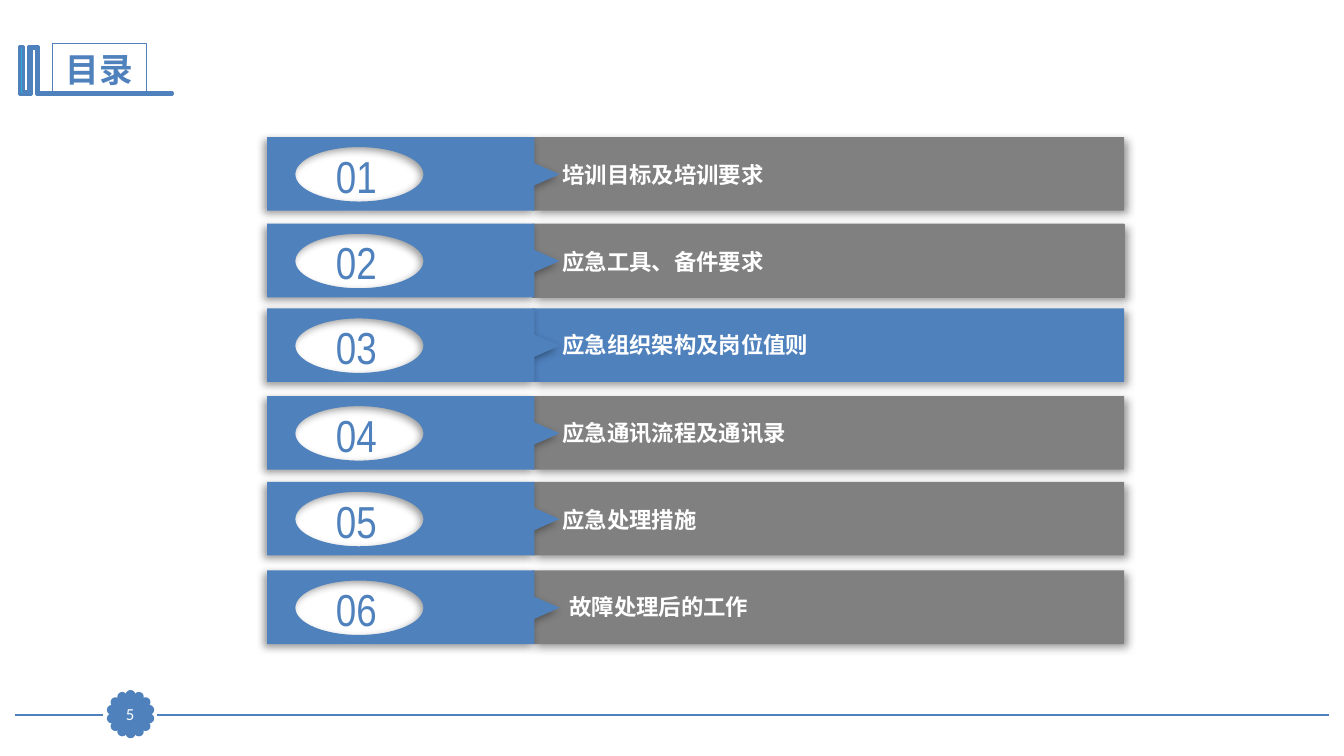
"""Build the contents slide: six numbered bars, a title mark and a page badge."""
from math import cos, pi, sin

from lxml.etree import SubElement, fromstring
from pptx import Presentation
from pptx.dml.color import RGBColor
from pptx.enum.shapes import MSO_CONNECTOR as Link, MSO_SHAPE as Kind
from pptx.enum.text import MSO_ANCHOR as Anchor, MSO_AUTO_SIZE as Fit, PP_ALIGN as Align
from pptx.oxml.ns import nsdecls, qn
from pptx.util import Inches, Pt

BLUE = RGBColor(0x4F, 0x81, 0xBD)
CYAN = RGBColor(0x28, 0xA9, 0xD6)
GREY = RGBColor(0x80, 0x80, 0x80)
WHITE = RGBColor(0xFF, 0xFF, 0xFF)
CELL = Inches(0.01)
COLS, ROWS = 1333, 750


def paint(shape, fill=None, line=None, width=0.75, shade=None):
    """Set fill, outline and shadow; shade is the shadow's angle in degrees."""
    shape.shadow.inherit = False
    if fill is None:
        shape.fill.background()
    else:
        shape.fill.solid()
        shape.fill.fore_color.rgb = fill
    if line is None:
        shape.line.fill.background()
    else:
        shape.line.color.rgb = line
        shape.line.width = Pt(width)
    if shade is not None:
        shape._element.spPr.find(qn("a:effectLst")).append(fromstring(
            f'<a:outerShdw {nsdecls("a")} blurRad="{Pt(6)}" dist="{Pt(3)}" '
            f'dir="{shade * 60000}" algn="ctr" rotWithShape="0"><a:srgbClr val="000000">'
            '<a:alpha val="40000"/></a:srgbClr></a:outerShdw>'))


def write(shape, text, size=16, font="Calibri", color=WHITE, bold=False,
          align=Align.CENTER, anchor=Anchor.MIDDLE, fit=Fit.SHAPE_TO_FIT_TEXT, inset=None):
    """Put one formatted line of text into a shape."""
    frame = shape.text_frame
    frame.word_wrap = True
    frame.auto_size = fit
    frame.vertical_anchor = anchor
    if inset is not None:
        frame.margin_left = frame.margin_right = inset
        frame.margin_top = frame.margin_bottom = inset
    para = frame.paragraphs[0]
    para.alignment = align
    run = para.add_run()
    run.text = text
    run.font.size = Pt(size)
    run.font.name = font
    run.font.bold = bold
    run.font.color.rgb = color


deck = Presentation()
deck.slide_width, deck.slide_height = COLS * CELL, ROWS * CELL
slide = deck.slides.add_slide(deck.slide_layouts[6])
shapes = slide.shapes

for start, end in [(1318, 156), (102, 15)]:
    rule = shapes.add_connector(Link.STRAIGHT, start * CELL, 709 * CELL, end * CELL, 709 * CELL)
    rule.line.color.rgb = BLUE
    rule.line.width = Pt(1.25)
    rule._element.spPr.append(fromstring(f'<a:effectLst {nsdecls("a")}/>'))

PETALS, REACH, DOT = 14, 19, 7
for petal in range(PETALS):
    turn = 2 * pi * petal / PETALS
    left = 129.5 + REACH * sin(turn) - DOT / 2
    top = 708.5 - REACH * cos(turn) - DOT / 2
    dot = shapes.add_shape(Kind.OVAL, round(left * CELL), round(top * CELL), DOT * CELL, DOT * CELL)
    paint(dot, BLUE, BLUE, 2)

pen = shapes.build_freeform(37, 46, scale=CELL)
pen.add_line_segments([(38, 46), (38, 92), (171, 92), (171, 94), (36, 94), (36, 48), (31, 48),
                       (31, 94), (19, 94), (19, 46), (23, 46), (23, 91), (28, 91), (28, 46)])
paint(pen.convert_to_shape(), CYAN, BLUE, 2)

title = shapes.add_shape(Kind.RECTANGLE, 52 * CELL, 43 * CELL, 93 * CELL, 51 * CELL)
paint(title, line=BLUE)
write(title, "目录", size=24, font="Arial Narrow", color=BLUE, bold=True)

badge = shapes.add_shape(Kind.RECTANGLE, 113 * CELL, 693 * CELL, 32 * CELL, 31 * CELL)
paint(badge, BLUE, BLUE)
write(badge, "5", size=12, fit=Fit.NONE, inset=0)

HIGH = 73
HOLE = [("moveTo", [(91, 10)]),
        ("cubicBezTo", [(56, 10), (28, 22), (28, 37)]),
        ("cubicBezTo", [(28, 52), (56, 64), (91, 64)]),
        ("cubicBezTo", [(126, 64), (155, 52), (155, 37)]),
        ("cubicBezTo", [(155, 22), (126, 10), (91, 10)]),
        ("close", [])]
topics = [
    (136, 548, 155, GREY, "培训目标及培训要求"),
    (222, 548, 241, GREY, "应急工具、备件要求"),
    (306, 548, 324, BLUE, "应急组织架构及岗位值则"),
    (393, 548, 411, GREY, "应急通讯流程及通讯录"),
    (478, 548, 497, GREY, "应急处理措施"),
    (566, 555, 584, GREY, "故障处理后的工作"),
]
for order, (top, left, base, tint, topic) in enumerate(topics, 1):
    bar = shapes.add_shape(Kind.RECTANGLE, 528 * CELL, top * CELL, 587 * CELL, HIGH * CELL)
    paint(bar, tint, GREY if order == 2 else None, 0.25, shade=45)

    pen = shapes.build_freeform(265, top, scale=CELL)
    pen.add_line_segments([(530, top), (530, top + 26), (555, top + 37), (530, top + 48),
                           (530, top + HIGH), (265, top + HIGH)])
    tag = pen.convert_to_shape()
    trace = next(tag._element.iter(qn("a:path")))
    for verb, spots in HOLE:
        step = SubElement(trace, qn(f"a:{verb}"))
        for x, y in spots:
            SubElement(step, qn("a:pt"), x=str(x), y=str(y))
    paint(tag, BLUE, shade=135)

    count = shapes.add_textbox(307 * CELL, (top + 6) * CELL, 93 * CELL, 64 * CELL)
    write(count, f"{order:02}", size=32, font="Arial Narrow", color=BLUE)
    label = shapes.add_textbox(left * CELL, base * CELL, 561 * CELL, 37 * CELL)
    write(label, topic, bold=True, align=Align.LEFT, anchor=Anchor.TOP)

deck.save("out.pptx")
